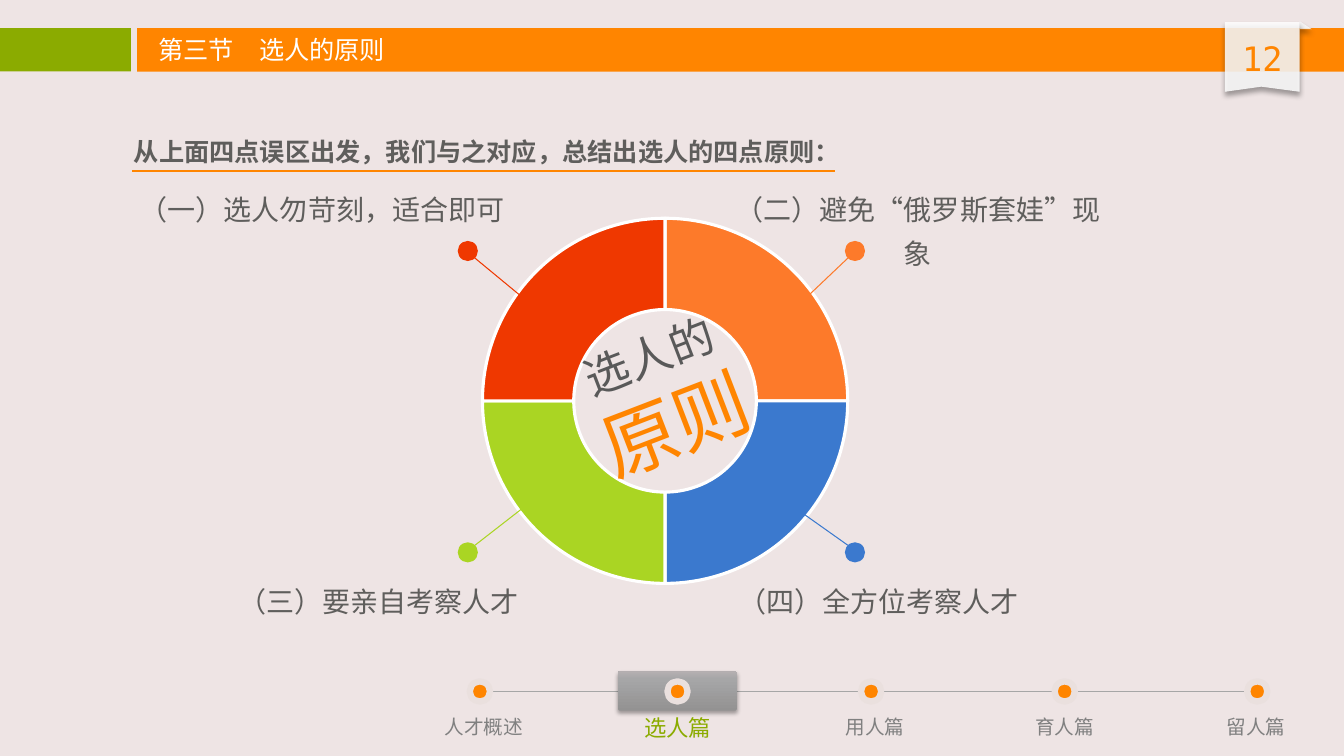
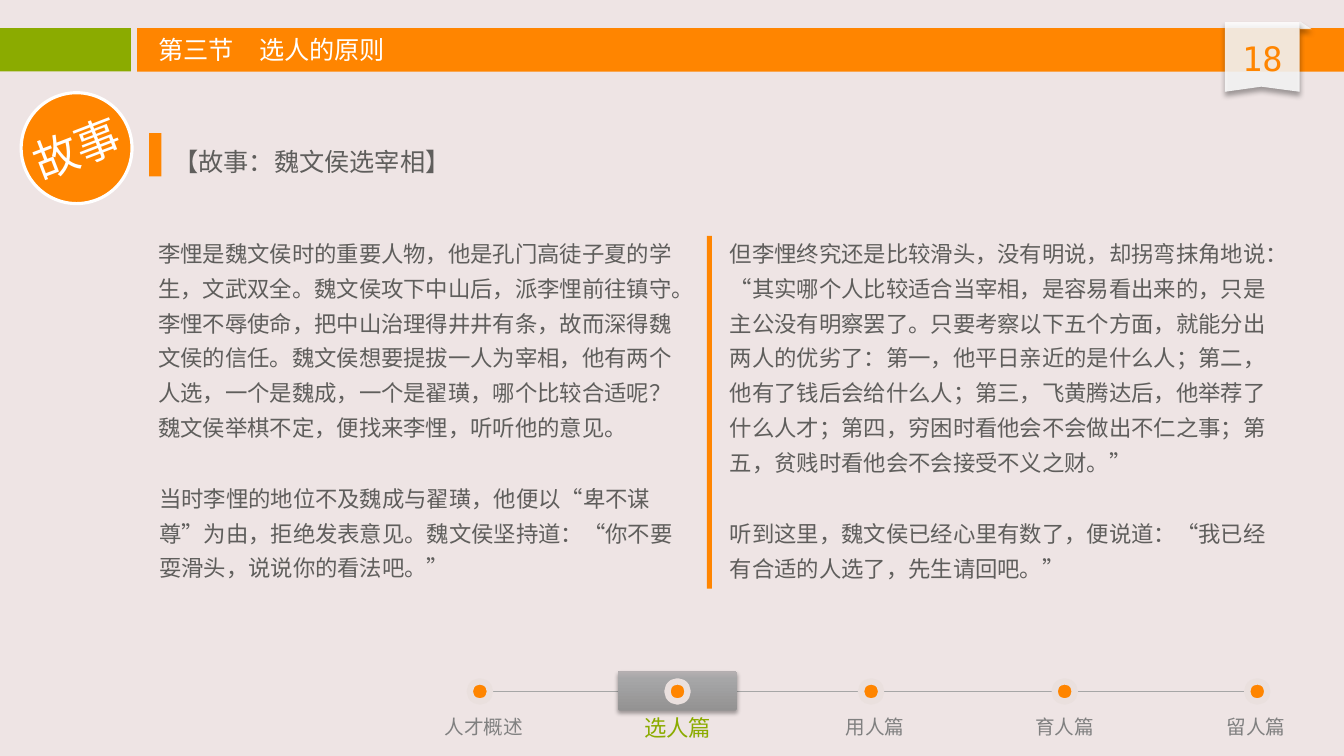
import pptx
import pptx.chart.data
import pptx.dml.color
import pptx.enum.chart
import pptx.enum.shapes
import pptx.enum.text
import pptx.oxml
import pptx.oxml.ns
import pptx.util
from lxml import etree
from pptx.util import Inches

SHAPES = pptx.enum.shapes.MSO_SHAPE
ALIGN = pptx.enum.text.PP_ALIGN
ANCHOR = pptx.enum.text.MSO_ANCHOR

# Shared look
CJK_FONT, NUMBER_FONT, CHART_FONT = "Noto Sans CJK SC", "DejaVu Sans Mono", "Calibri"
BACKGROUND, ORANGE, GREEN, WHITE = "EEE4E4", "FF8500", "8BAB00", "FFFFFF"
BODY, MUTED, RING, RAIL = "5F5E5C", "808080", "EAE0DE", "A6A6A6"
TILT = 338.9
TITLE = "第三节　选人的原则"
RIBBON = [(12.15, 0.91), (12.15, 0.22), (12.89, 0.22), (12.89, 0.91), (12.51, 0.86)]
RIBBON_SHADOW = ("000000", 40, 4, 3)
TAB_SHADOW = ("000000", 35, 3.1, 1.8)
TAB_STOPS = [(0, "939292"), (80, "A6A6A7"), (100, "B6B0B2")]
RAIL_Y, DOT = 6.86, 0.2
# Chapter, dot centre, label centre
CHAPTERS = [
    ("人才概述", 4.76, 4.8),
    ("选人篇", 6.72, 6.72),
    ("用人篇", 8.64, 8.68),
    ("育人篇", 10.56, 10.56),
    ("留人篇", 12.47, 12.46),
]
CURRENT_CHAPTER = "选人篇"

# Principles slide
PRINCIPLES_LEAD = "从上面四点误区出发，我们与之对应，总结出选人的四点原则："
# Text, box, colour, dot centre, leader start, leader end
PRINCIPLES = [
    ("（一）选人勿苛刻，适合即可", (1.15, 1.76, 4.09, 0.54), "EF3800",
     (4.64, 2.49), (4.71, 2.56), (5.17, 2.94)),
    ("（二）避免“俄罗斯套娃”现象", (7.06, 1.76, 4.09, 0.54), "FD7A2A",
     (8.48, 2.49), (8.41, 2.56), (8.01, 2.94)),
    ("（三）要亲自考察人才", (2.18, 5.65, 3.15, 0.54), "AAD523",
     (4.64, 5.48), (4.71, 5.41), (5.25, 4.99)),
    ("（四）全方位考察人才", (7.06, 5.65, 3.31, 0.54), "3B79CE",
     (8.48, 5.48), (8.41, 5.41), (7.93, 5.07)),
]
# Clockwise from the top
RING_COLOURS = ["FD7A2A", "3B79CE", "AAD523", "EF3800"]
RING_PLOT = {"x": 0.205, "y": 0.004, "w": 0.668, "h": 0.922}

# Story slide
STORY_HEADING = "【故事：魏文侯选宰相】"
STORY = [
    ("李悝是魏文侯时的重要人物，他是孔门高徒子夏的学生，文武双全。魏文侯攻下中山后，派李悝前往镇守。"
     "李悝不辱使命，把中山治理得井井有条，故而深得魏文侯的信任。魏文侯想要提拔一人为宰相，他有两个人选，"
     "一个是魏成，一个是翟璜，哪个比较合适呢？魏文侯举棋不定，便找来李悝，听听他的意见。",
     (1.47, 2.25, 5.51, 2.2)),
    ("当时李悝的地位不及魏成与翟璜，他便以“卑不谋尊”为由，拒绝发表意见。"
     "魏文侯坚持道：“你不要耍滑头，说说你的看法吧。”",
     (1.48, 4.68, 5.5, 1.15)),
    ("但李悝终究还是比较滑头，没有明说，却拐弯抹角地说：“其实哪个人比较适合当宰相，是容易看出来的，"
     "只是主公没有明察罢了。只要考察以下五个方面，就能分出两人的优劣了：第一，他平日亲近的是什么人；"
     "第二，他有了钱后会给什么人；第三，飞黄腾达后，他举荐了什么人才；第四，穷困时看他会不会做出不仁之事；"
     "第五，贫贱时看他会不会接受不义之财。”",
     (7.14, 2.25, 5.67, 2.55)),
    ("听到这里，魏文侯已经心里有数了，便说道：“我已经有合适的人选了，先生请回吧。”",
     (7.14, 5.03, 5.67, 0.8)),
]


def colour(value):
    return pptx.dml.color.RGBColor.from_string(value)


def inches(values):
    return [Inches(value) for value in values]


def add_element(parent, tag, **attributes):
    element = etree.SubElement(parent, pptx.oxml.ns.qn(tag))
    for name, value in attributes.items():
        element.set(name, str(value))
    return element


def paint(shape, fill, line=None, width=1.0):
    shape.shadow.inherit = False
    shape.fill.solid()
    shape.fill.fore_color.rgb = colour(fill)
    if line:
        shape.line.color.rgb = colour(line)
        shape.line.width = pptx.util.Pt(width)
    else:
        shape.line.fill.background()
    return shape


def add_shape(slide, kind, box, fill, line=None, width=1.0):
    return paint(slide.shapes.add_shape(kind, *inches(box)), fill, line, width)


def add_dot(slide, x, y, fill, line=None, width=1.0):
    box = (x - DOT / 2, y - DOT / 2, DOT, DOT)
    return add_shape(slide, SHAPES.OVAL, box, fill, line, width)


def add_line(slide, start, end, line, width):
    connector = slide.shapes.add_connector(
        pptx.enum.shapes.MSO_CONNECTOR.STRAIGHT, *inches(start + end))
    connector.line.color.rgb = colour(line)
    connector.line.width = pptx.util.Pt(width)
    add_element(connector.element.spPr, "a:effectLst")


def add_shadow(shape, shadow):
    shade, opacity, blur, distance = shadow
    effects = shape.element.spPr.find(pptx.oxml.ns.qn("a:effectLst"))
    outer = add_element(effects, "a:outerShdw", blurRad=pptx.util.Pt(blur),
                        dist=pptx.util.Pt(distance), dir=90 * 60000, rotWithShape=0)
    add_element(add_element(outer, "a:srgbClr", val=shade), "a:alpha", val=opacity * 1000)


def make_translucent(shape, opacity):
    solid = shape.element.spPr.find(pptx.oxml.ns.qn("a:solidFill"))
    add_element(solid[0], "a:alpha", val=opacity * 1000)


def add_run(paragraph, text, size, fill, font=CJK_FONT, bold=False):
    run = paragraph.add_run()
    run.text = text
    run.font.size = pptx.util.Pt(size)
    run.font.bold = bold
    run.font.color.rgb = colour(fill)
    run.font.name = font
    properties = run.font._element if hasattr(run.font, "_element") else run._r.get_or_add_rPr()
    properties.set("lang", "zh-CN")
    add_element(properties, "a:ea", typeface=font)
    return properties


def add_text(slide, box, runs, align=ALIGN.LEFT, spacing=None, wrap=True, rotation=0):
    """Each run is (text, size, colour) plus an optional font and bold flag."""
    shape = slide.shapes.add_textbox(*inches(box))
    shape.rotation = rotation
    shape.text_frame.word_wrap = wrap
    paragraph = shape.text_frame.paragraphs[0]
    paragraph.alignment = align
    if spacing:
        paragraph.line_spacing = spacing
    return [add_run(paragraph, *run) for run in runs]


def set_title(slide):
    """The title placeholder is also the orange band."""
    title = slide.shapes.title
    title.left, title.top, title.width, title.height = inches((1.36, 0.28, 11.97, 0.43))
    paint(title, ORANGE)
    frame = title.text_frame
    frame.auto_size = pptx.enum.text.MSO_AUTO_SIZE.NONE
    frame.vertical_anchor = ANCHOR.MIDDLE
    frame.margin_left = Inches(0.21)
    frame.margin_top = frame.margin_bottom = 0
    frame.paragraphs[0].alignment = ALIGN.LEFT
    add_run(frame.paragraphs[0], TITLE, 18, WHITE)


def add_ribbon(slide, number):
    fold = add_shape(slide, SHAPES.RIGHT_TRIANGLE, (12.89, 0.21, 0.12, 0.08), "F8F8F8")
    points = [inches(point) for point in RIBBON]
    builder = slide.shapes.build_freeform(*points[0])
    builder.add_line_segments(points[1:])
    ribbon = paint(builder.convert_to_shape(), WHITE)
    for shape in (fold, ribbon):
        make_translucent(shape, 85)
        add_shadow(shape, RIBBON_SHADOW)
    add_text(slide, (12.15, 0.33, 0.74, 0.5), [(number, 24, ORANGE, NUMBER_FONT)], ALIGN.CENTER)


def add_current_tab(slide):
    tab = add_shape(slide, SHAPES.ROUNDED_RECTANGLE, (6.13, 6.66, 1.18, 0.39), RAIL)
    tab.adjustments[0] = 0.05
    add_shadow(tab, TAB_SHADOW)
    properties = tab.element.spPr
    solid = properties.find(pptx.oxml.ns.qn("a:solidFill"))
    gradient = add_element(properties, "a:gradFill", rotWithShape=1)
    stops = add_element(gradient, "a:gsLst")
    for position, shade in TAB_STOPS:
        add_element(add_element(stops, "a:gs", pos=position * 1000), "a:srgbClr", val=shade)
    add_element(gradient, "a:lin", ang=270 * 60000, scaled=0)
    properties.replace(solid, gradient)


def add_chapter_rail(slide):
    add_line(slide, (4.82, RAIL_Y), (12.45, RAIL_Y), RAIL, 1)
    add_current_tab(slide)
    for label, dot_x, label_x in CHAPTERS:
        size, fill = (16, GREEN) if label == CURRENT_CHAPTER else (14, MUTED)
        add_dot(slide, dot_x, RAIL_Y, ORANGE, RING, 4.5)
        add_text(slide, (label_x - 0.5, 7.04, 1, 0.35), [(label, size, fill)],
                 ALIGN.CENTER, wrap=False)


def add_base_slide(presentation, number):
    slide = presentation.slides.add_slide(presentation.slide_layouts[5])
    set_title(slide)
    add_shape(slide, SHAPES.RECTANGLE, (0, 0.28, 1.3, 0.43), GREEN)
    add_ribbon(slide, number)
    add_chapter_rail(slide)
    return slide


def add_ring(slide):
    data = pptx.chart.data.CategoryChartData()
    data.categories = [str(index + 1) for index in range(len(RING_COLOURS))]
    data.add_series("Series 1", [25] * len(RING_COLOURS))
    chart = slide.shapes.add_chart(pptx.enum.chart.XL_CHART_TYPE.DOUGHNUT,
                                   *inches((3.67, 2.15, 5.43, 3.93)), data).chart
    chart.has_title = chart.has_legend = False
    chart.font.name, chart.font.size = CHART_FONT, pptx.util.Pt(10)
    chart.font.color.rgb = colour("000000")
    plot = chart.plots[0]
    plot.vary_by_categories = True
    for index, fill in enumerate(RING_COLOURS):
        point = plot.series[0].points[index]
        point.format.fill.solid()
        point.format.fill.fore_color.rgb = colour(fill)
        point.format.line.color.rgb = colour(WHITE)
        point.format.line.width = pptx.util.Pt(2.25)
    # Hole size and inner plot area
    qn = pptx.oxml.ns.qn
    area = chart.element.find(".//" + qn("c:plotArea"))
    area.find(".//" + qn("c:holeSize")).set("val", "63")
    for old in area.findall(qn("c:layout")):
        area.remove(old)
    layout = add_element(area, "c:layout")
    area.insert(0, layout)
    manual = add_element(layout, "c:manualLayout")
    add_element(manual, "c:layoutTarget", val="inner")
    for axis in "xy":
        add_element(manual, f"c:{axis}Mode", val="edge")
    for name, value in RING_PLOT.items():
        add_element(manual, f"c:{name}", val=value)


def build_principles(presentation):
    slide = add_base_slide(presentation, "12")
    add_ring(slide)
    for text, box, fill, dot, start, end in PRINCIPLES:
        add_dot(slide, *dot, fill)
        add_line(slide, start, end, fill, 0.75)
        add_text(slide, box, [(text, 20, BODY)], ALIGN.CENTER, 1.3)
    centre = add_text(slide, (5.68, 3.18, 1.84, 1.55),
                      [("选人的", 32, "595959"), ("原则", 54, ORANGE)],
                      ALIGN.CENTER, rotation=TILT)
    outline = add_element(centre[1], "a:ln", w=pptx.util.Pt(0.75))
    add_element(add_element(outline, "a:solidFill"), "a:srgbClr", val=WHITE)
    centre[1].insert(0, outline)
    add_text(slide, (1.23, 1.21, 9.44, 0.49),
             [(PRINCIPLES_LEAD, 18, BODY, CJK_FONT, True)], spacing=1.3)
    add_line(slide, (1.31, 1.7), (8.28, 1.7), ORANGE, 1.5)


def build_story(presentation):
    slide = add_base_slide(presentation, "18")
    add_shape(slide, SHAPES.RECTANGLE, (1.48, 1.32, 0.12, 0.43), ORANGE)
    add_text(slide, (1.62, 1.31, 5.23, 0.49), [(STORY_HEADING, 18, BODY)], spacing=1.3)
    add_shape(slide, SHAPES.OVAL, (0.21, 0.92, 1.1, 1.1), ORANGE, WHITE, 2.25)
    add_text(slide, (0.21, 1.15, 1.1, 0.64), [("故事", 32, WHITE)],
             ALIGN.CENTER, wrap=False, rotation=TILT)
    for text, box in STORY:
        add_text(slide, box, [(text, 16, BODY)], spacing=1.3)
    add_shape(slide, SHAPES.RECTANGLE, (7.01, 2.34, 0.05, 3.5), ORANGE)


def main():
    presentation = pptx.Presentation()
    presentation.slide_width, presentation.slide_height = inches((13.33, 7.5))
    background = presentation.slide_master.background.fill
    background.solid()
    background.fore_color.rgb = colour(BACKGROUND)
    build_principles(presentation)
    build_story(presentation)
    presentation.save("out.pptx")


if __name__ == "__main__":
    main()
